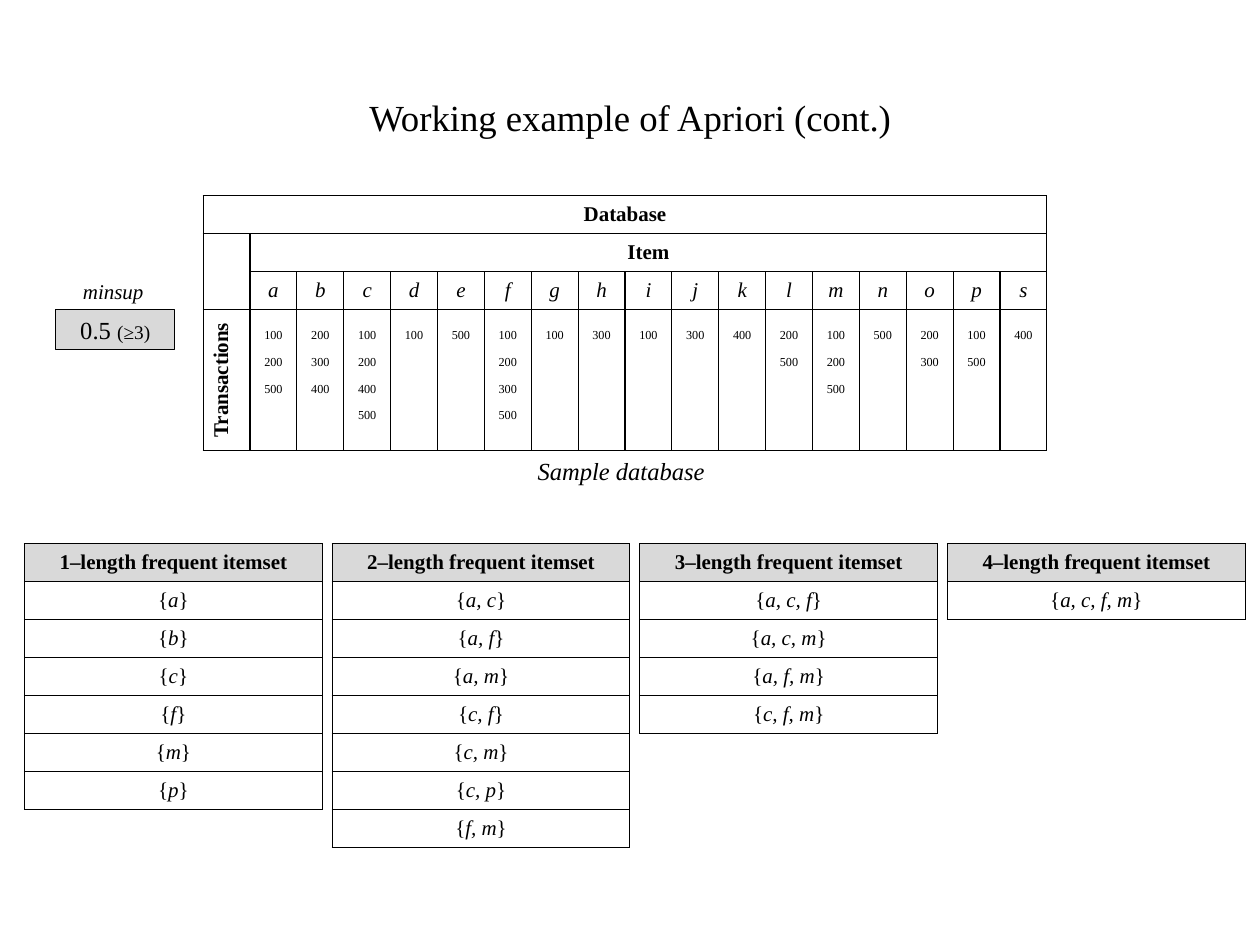
from lxml.etree import SubElement
from pptx import Presentation
from pptx.dml.color import RGBColor
from pptx.enum.shapes import MSO_SHAPE
from pptx.enum.text import MSO_ANCHOR as Anchor, MSO_AUTO_SIZE as AutoSize, PP_ALIGN as Align
from pptx.oxml.ns import qn
from pptx.util import Cm, Pt

BLACK = RGBColor(0x00, 0x00, 0x00)
GREY = RGBColor(0xD9, 0xD9, 0xD9)
FONT = "Times New Roman"
ROW_HEIGHT = 1.02

ITEM_TRANSACTIONS = {
    "a": "100 200 500", "b": "200 300 400", "c": "100 200 400 500", "d": "100",
    "e": "500", "f": "100 200 300 500", "g": "100", "h": "300", "i": "100",
    "j": "300", "k": "400", "l": "200 500", "m": "100 200 500", "n": "500",
    "o": "200 300", "p": "100 500", "s": "400",
}
FREQUENT_ITEMSETS = [
    ["a", "b", "c", "f", "m", "p"],
    ["a, c", "a, f", "a, m", "c, f", "c, m", "c, p", "f, m"],
    ["a, c, f", "a, c, m", "a, f, m", "c, f, m"],
    ["a, c, f, m"],
]


def add_run(paragraph, text, size=16, bold=False, italic=False, baseline=None):
    run = paragraph.add_run()
    run.text = text
    font = run.font
    font.name, font.size, font.bold, font.italic = FONT, Pt(size), bold, italic
    font.color.rgb = BLACK
    if baseline is not None:
        run._r.get_or_add_rPr().set("baseline", str(baseline))


def write(frame, *paragraphs, align=Align.CENTER, **style):
    """Each paragraph is a string or a list of (text, style changes) runs."""
    for index, content in enumerate(paragraphs):
        paragraph = frame.add_paragraph() if index else frame.paragraphs[0]
        paragraph.alignment = align
        runs = [(content, {})] if isinstance(content, str) else content
        for text, changes in runs:
            add_run(paragraph, text, **{**style, **changes})


def add_label(slide, text, left, top, width, height, wrap=False, **style):
    label = slide.shapes.add_textbox(Cm(left), Cm(top), Cm(width), Cm(height))
    frame = label.text_frame
    frame.word_wrap = wrap
    frame.auto_size = AutoSize.NONE if wrap else AutoSize.SHAPE_TO_FIT_TEXT
    frame.vertical_anchor = Anchor.MIDDLE if wrap else Anchor.TOP
    write(frame, text, **style)


def draw_borders(cell):
    properties = cell._tc.get_or_add_tcPr()
    for position, side in enumerate(("lnL", "lnR", "lnT", "lnB")):
        line = properties.makeelement(qn(f"a:{side}"), {"w": str(Pt(1))})
        fill = SubElement(line, qn("a:solidFill"))
        SubElement(fill, qn("a:srgbClr"), val=str(BLACK))
        properties.insert(position, line)


def add_grid(slide, left, top, column_widths, row_heights):
    """Add an unfilled table with every cell bordered."""
    table = slide.shapes.add_table(
        len(row_heights), len(column_widths), Cm(left), Cm(top),
        Cm(sum(column_widths)), Cm(sum(row_heights))).table
    table.first_row = table.horz_banding = False
    for column, width in zip(table.columns, column_widths):
        column.width = Cm(width)
    for row, height in zip(table.rows, row_heights):
        row.height = Cm(height)
    for cell in table.iter_cells():
        cell.fill.background()
        draw_borders(cell)
    return table


def fill_cell(cell, *paragraphs, anchor=Anchor.MIDDLE, **style):
    cell.margin_left = cell.margin_right = Cm(0.33)
    cell.margin_top = cell.margin_bottom = Cm(0.17)
    cell.vertical_anchor = anchor
    write(cell.text_frame, *paragraphs, **style)


def add_database(slide):
    last = len(ITEM_TRANSACTIONS)
    table = add_grid(slide, 5.46, 5.26, [1.26] * (last + 1), [ROW_HEIGHT] * 3 + [3.8])
    table.cell(0, 0).merge(table.cell(0, last))
    table.cell(1, 0).merge(table.cell(2, 0))
    table.cell(1, 1).merge(table.cell(1, last))
    fill_cell(table.cell(0, 0), "Database", bold=True)
    fill_cell(table.cell(1, 1), "Item", bold=True)
    row_title = table.cell(3, 0)
    fill_cell(row_title, "Transactions", bold=True)
    row_title._tc.get_or_add_tcPr().set("vert", "vert270")
    for column, (item, transactions) in enumerate(ITEM_TRANSACTIONS.items(), start=1):
        fill_cell(table.cell(2, column), item, italic=True)
        fill_cell(table.cell(3, column), *transactions.split(),
                  anchor=Anchor.TOP, baseline=-25000)


def add_itemsets(slide, length, itemsets):
    table = add_grid(slide, 0.66 + 8.27 * (length - 1), 14.61, [8],
                     [ROW_HEIGHT] * (len(itemsets) + 1))
    header = table.cell(0, 0)
    header.fill.solid()
    header.fill.fore_color.rgb = GREY
    fill_cell(header, f"{length}–length frequent itemset", bold=True)
    for row, items in enumerate(itemsets, start=1):
        fill_cell(table.cell(row, 0), [("{", {}), (items, {"italic": True}), ("}", {})])


def add_minsup(slide):
    threshold = slide.shapes.add_shape(
        MSO_SHAPE.RECTANGLE, Cm(1.5), Cm(8.33), Cm(3.2), Cm(1.07))
    threshold.shadow.inherit = False
    threshold.fill.solid()
    threshold.fill.fore_color.rgb = GREY
    threshold.line.color.rgb = BLACK
    threshold.line.width = Pt(0.75)
    frame = threshold.text_frame
    frame.word_wrap = False
    frame.vertical_anchor = Anchor.MIDDLE
    write(frame, [("0.5 ", {}), ("(≥3)", {"size": 14.7})], size=18.7)
    add_label(slide, "minsup", 1.98, 7.37, 2.16, 0.94, align=Align.LEFT, italic=True)


def main():
    presentation = Presentation()
    presentation.slide_width, presentation.slide_height = Cm(33.87), Cm(25.4)
    slide = presentation.slides.add_slide(presentation.slide_layouts[6])
    add_label(slide, "Working example of Apriori (cont.)", 1.7, 1.02, 30.48, 4.24,
              wrap=True, size=28)
    add_database(slide)
    add_label(slide, "Sample database", 14.2, 12.12, 5.03, 1.07,
              align=Align.LEFT, size=18.7, italic=True)
    add_minsup(slide)
    for length, itemsets in enumerate(FREQUENT_ITEMSETS, start=1):
        add_itemsets(slide, length, itemsets)
    presentation.save("out.pptx")


if __name__ == "__main__":
    main()
